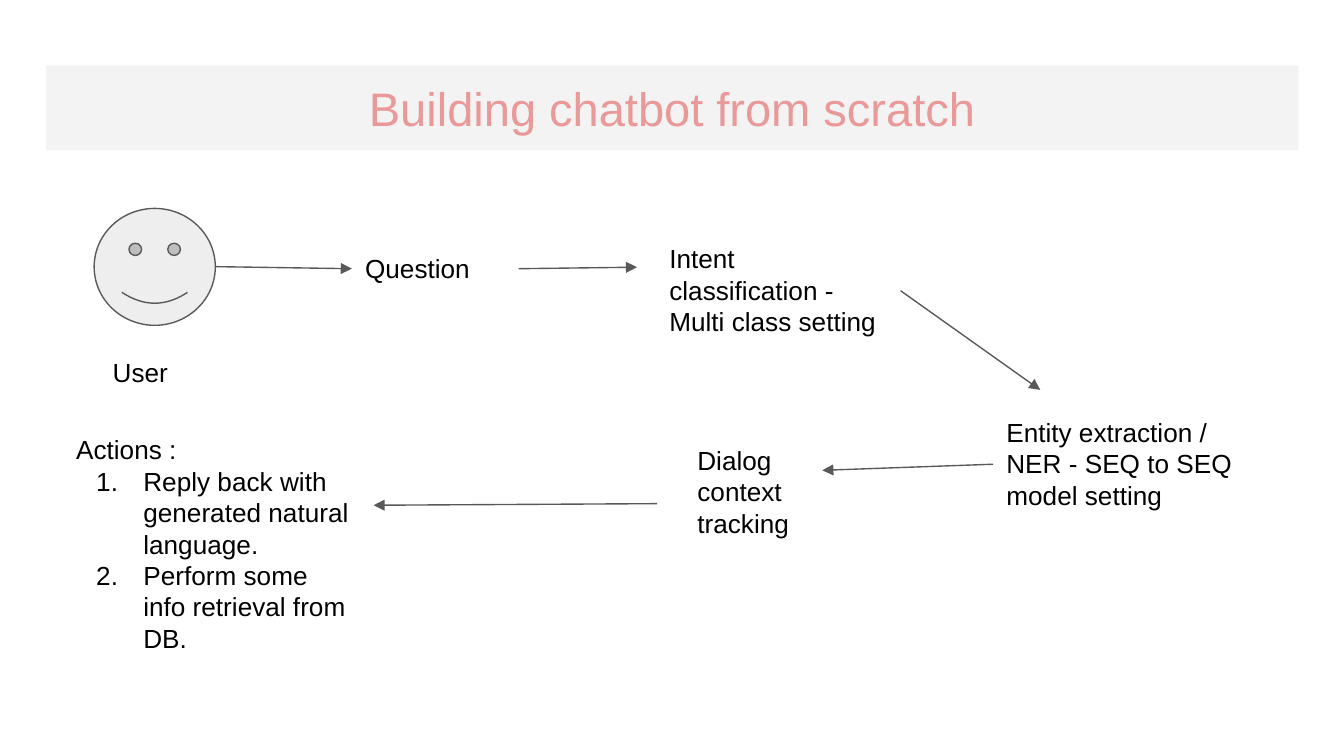
from dataclasses import dataclass

import pptx
import pptx.dml.color
import pptx.enum.shapes
import pptx.enum.text
import pptx.oxml.ns
import pptx.util
from lxml import etree
from pptx.util import Cm

RGBColor = pptx.dml.color.RGBColor
Shape = pptx.enum.shapes.MSO_SHAPE
Anchor = pptx.enum.text.MSO_ANCHOR
Align = pptx.enum.text.PP_ALIGN
qn = pptx.oxml.ns.qn

BLACK = RGBColor(0x00, 0x00, 0x00)
PINK = RGBColor(0xEA, 0x99, 0x99)
BANNER = RGBColor(0xF3, 0xF3, 0xF3)
FACE = RGBColor(0xEE, 0xEE, 0xEE)
LINE = RGBColor(0x59, 0x59, 0x59)
LINE_WIDTH = pptx.util.Pt(0.75)
TOP, LEFT, BOTTOM, RIGHT = range(4)


@dataclass(frozen=True)
class Label:
    """A text box in centimetres; its steps are numbered below the text."""
    name: str
    text: str
    left: float
    top: float
    width: float
    height: float
    steps: tuple[str, ...] = ()


@dataclass(frozen=True)
class Joint:
    """The middle of one side of a label."""
    label: str
    side: int


@dataclass(frozen=True)
class Point:
    x: float
    y: float


@dataclass(frozen=True)
class Arrow:
    start: Joint | Point
    end: Joint | Point


LABELS = (
    Label("user", "User", 1.88, 6.48, 2.62, 1.12),
    Label("question", "Question", 6.65, 4.52, 3.15, 1.12),
    Label("intent", "Intent classification - Multi class setting",
          12.4, 4.34, 4.62, 2.31),
    Label("entity", "Entity extraction / NER - SEQ to SEQ model setting",
          18.77, 7.62, 5.38, 2.31),
    Label("dialog", "Dialog context tracking", 12.93, 8.15, 3.53, 2.31),
    Label("actions", "Actions :", 1.19, 7.95, 5.77, 4.7,
          ("Reply back with generated natural language.",
           "Perform some info retrieval from DB.")),
)

ARROWS = (
    Arrow(Point(4.07, 5.04), Joint("question", LEFT)),
    Arrow(Joint("question", RIGHT), Point(12.04, 5.05)),
    Arrow(Joint("intent", RIGHT), Point(19.66, 7.37)),
    Arrow(Joint("entity", LEFT), Point(15.54, 8.89)),
    Arrow(Point(12.42, 9.52), Point(7.06, 9.55)),
)


def write(para, text: str, *, size: float = 14, color: RGBColor = BLACK,
          align=Align.LEFT, numbered: bool = False) -> None:
    para.alignment = align
    span = para.add_run()
    span.text = text
    span.font.name = "Arial"
    span.font.size = pptx.util.Pt(size)
    span.font.color.rgb = color
    if numbered:
        properties = para._p.get_or_add_pPr()
        properties.set("marL", str(Cm(1.27)))
        properties.set("indent", str(-Cm(0.89)))
        etree.SubElement(properties, qn("a:buAutoNum"), type="arabicPeriod")


def prepare_frame(frame) -> None:
    frame.word_wrap = True
    frame.margin_left = frame.margin_right = Cm(0.25)
    frame.margin_top = frame.margin_bottom = Cm(0.25)


def add_banner(page) -> None:
    banner = page.shapes.add_shape(
        Shape.RECTANGLE, Cm(0.87), Cm(1.24), Cm(23.67), Cm(1.6))
    banner.shadow.inherit = False
    banner.fill.solid()
    banner.fill.fore_color.rgb = BANNER
    banner.line.fill.background()
    prepare_frame(banner.text_frame)
    banner.text_frame.vertical_anchor = Anchor.MIDDLE
    write(banner.text_frame.paragraphs[0], "Building chatbot from scratch",
          size=25.2, color=PINK, align=Align.CENTER)


def add_user_face(page) -> None:
    face = page.shapes.add_shape(
        Shape.SMILEY_FACE, Cm(1.78), Cm(3.94), Cm(2.29), Cm(2.21))
    face.adjustments[0] = 0.05
    face.shadow.inherit = False
    face.fill.solid()
    face.fill.fore_color.rgb = FACE
    face.line.color.rgb = LINE
    face.line.width = LINE_WIDTH


def add_label(page, label: Label):
    box = page.shapes.add_textbox(
        Cm(label.left), Cm(label.top), Cm(label.width), Cm(label.height))
    frame = box.text_frame
    prepare_frame(frame)
    frame.auto_size = pptx.enum.text.MSO_AUTO_SIZE.SHAPE_TO_FIT_TEXT
    write(frame.paragraphs[0], label.text)
    for step in label.steps:
        write(frame.add_paragraph(), step, numbered=True)
    return box


def add_arrow(page, arrow: Arrow, boxes: dict) -> None:
    connector = page.shapes.add_connector(
        pptx.enum.shapes.MSO_CONNECTOR.STRAIGHT, 0, 0, 0, 0)
    if isinstance(arrow.start, Joint):
        connector.begin_connect(boxes[arrow.start.label], arrow.start.side)
    else:
        connector.begin_x, connector.begin_y = Cm(arrow.start.x), Cm(arrow.start.y)
    if isinstance(arrow.end, Joint):
        connector.end_connect(boxes[arrow.end.label], arrow.end.side)
    else:
        connector.end_x, connector.end_y = Cm(arrow.end.x), Cm(arrow.end.y)
    connector.line.color.rgb = LINE
    connector.line.width = LINE_WIDTH
    etree.SubElement(connector.line._get_or_add_ln(), qn("a:tailEnd"),
                     type="triangle", w="med", len="med")
    etree.SubElement(connector._element.spPr, qn("a:effectLst"))


def main() -> None:
    deck = pptx.Presentation()
    deck.slide_width, deck.slide_height = Cm(25.4), Cm(14.29)
    page = deck.slides.add_slide(deck.slide_layouts[6])
    add_banner(page)
    add_user_face(page)
    boxes = {label.name: add_label(page, label) for label in LABELS}
    for arrow in ARROWS:
        add_arrow(page, arrow, boxes)
    deck.save("out.pptx")


if __name__ == "__main__":
    main()
